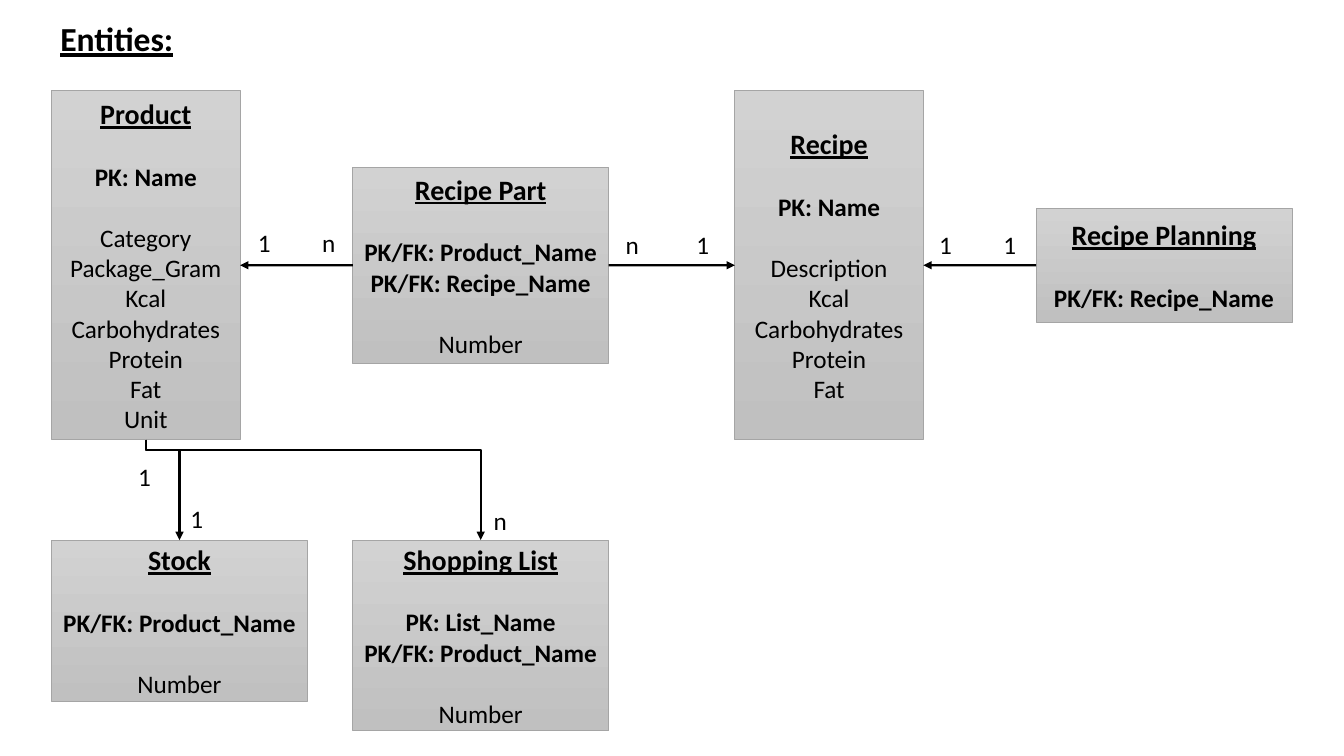
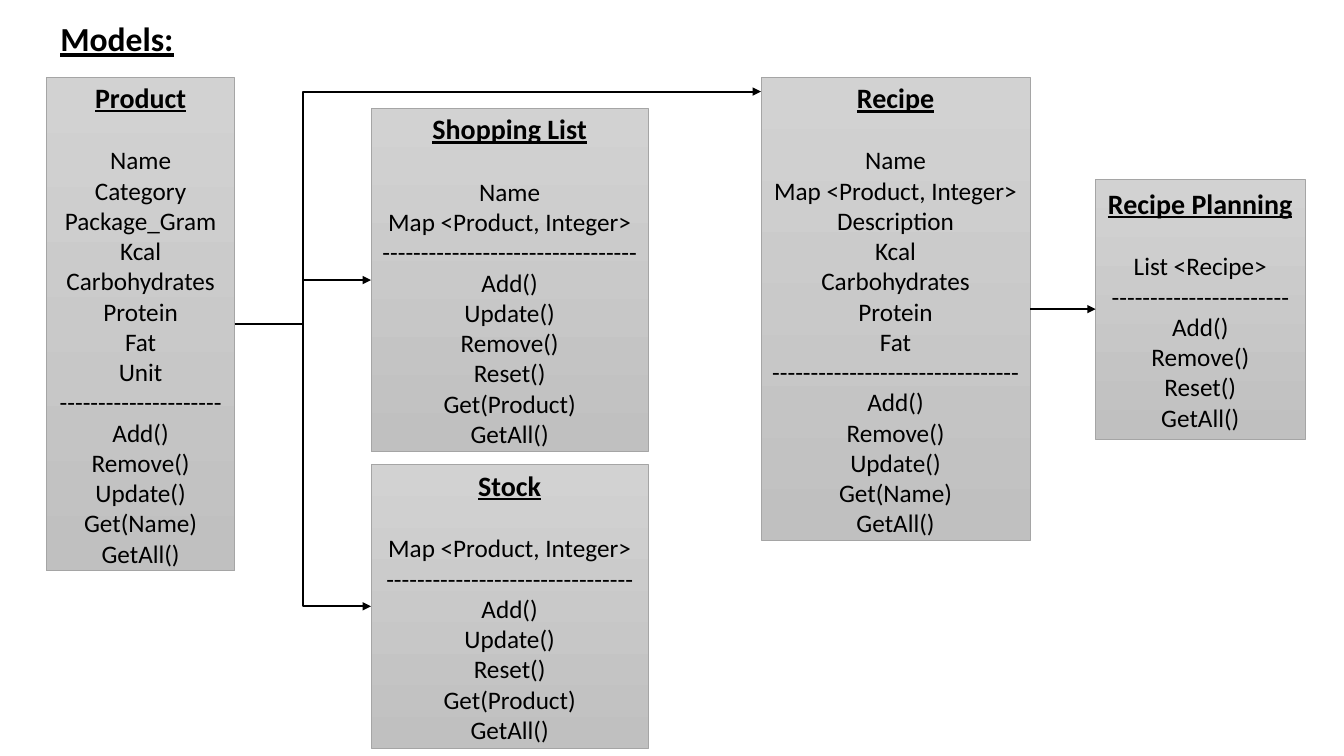
from pptx import Presentation
from pptx.dml.color import RGBColor
from pptx.enum.shapes import MSO_CONNECTOR, MSO_SHAPE
from pptx.enum.text import MSO_ANCHOR, PP_ALIGN
from pptx.oxml.ns import qn
from pptx.util import Cm, Pt
from lxml import etree

RECT = MSO_SHAPE.RECTANGLE
STRAIGHT, ELBOW = MSO_CONNECTOR.STRAIGHT, MSO_CONNECTOR.ELBOW
MIDDLE, CENTER = MSO_ANCHOR.MIDDLE, PP_ALIGN.CENTER
TOP, LEFT, BOTTOM, RIGHT = range(4)


def rgb(value):
    return RGBColor.from_string(value)


class Diagram:
    font = "Calibri"
    ink = "000000"
    border = "A5A5A5"
    shades = ("D2D2D2", "C0C0C0")
    group_gap = Pt(22)

    def __init__(self):
        self.deck = Presentation()
        self.deck.slide_width, self.deck.slide_height = Cm(33.87), Cm(19.05)
        self.slide = None

    def page(self, title):
        self.slide = self.deck.slides.add_slide(self.deck.slide_layouts[6])
        self.text(1.27, 0.33, 14.22, 1.27, title, 24, True)

    def set_words(self, paragraph, words, size=18, bold=False, underline=False):
        paragraph.text = words
        font = paragraph.font
        font.name, font.size = self.font, Pt(size)
        font.bold, font.underline = bold, underline
        font.color.rgb = rgb(self.ink)

    def text(self, x, y, width, height, words, size=18, heading=False):
        box = self.slide.shapes.add_textbox(Cm(x), Cm(y), Cm(width), Cm(height))
        box.text_frame.word_wrap = True
        self.set_words(box.text_frame.paragraphs[0], words, size, heading, heading)

    def label(self, x, y, words):
        self.text(x, y, 0.86, 1.02, words)

    def entity(self, x, y, width, height, name, fields, keys=()):
        box = self.slide.shapes.add_shape(RECT, Cm(x), Cm(y), Cm(width), Cm(height))
        box.shadow.inherit = False
        box.fill.gradient()
        box.fill.gradient_angle = 270
        for stop, shade in zip(box.fill.gradient_stops, self.shades):
            stop.color.rgb = rgb(shade)
        box.line.color.rgb = rgb(self.border)
        box.line.width = Pt(0.5)
        frame = box.text_frame
        frame.word_wrap = True
        frame.vertical_anchor = MIDDLE
        self.set_words(frame.paragraphs[0], name, 20, True, True)
        for group, bold in ((keys, True), (fields, False)):
            for position, words in enumerate(group):
                paragraph = frame.add_paragraph()
                self.set_words(paragraph, words, bold=bold)
                if position == 0:
                    paragraph.space_before = self.group_gap
        for paragraph in frame.paragraphs:
            paragraph.alignment = CENTER
        return box

    def arrow(self, source, exit_side, target, entry_side, knee=None, entry_y=None):
        kind = STRAIGHT if knee is None else ELBOW
        end_y = 0 if entry_y is None else Cm(entry_y)
        link = self.slide.shapes.add_connector(kind, 0, 0, target.left, end_y)
        link.begin_connect(source, exit_side)
        if entry_y is None:
            link.end_connect(target, entry_side)
        link.line.color.rgb = rgb(self.ink)
        link.line.width = Pt(1.5)
        properties = link._element.spPr
        etree.SubElement(properties.find(qn("a:ln")), qn("a:tailEnd"), type="triangle")
        etree.SubElement(properties, qn("a:effectLst"))
        if knee is None:
            return
        if exit_side == BOTTOM:
            self.turn_down(link)
        bend = round(Cm(knee) / link.width * 100000)
        adjustments = properties.find(qn("a:prstGeom")).find(qn("a:avLst"))
        etree.SubElement(adjustments, qn("a:gd"), name="adj1", fmla=f"val {bend}")

    def turn_down(self, link):
        across, down = link.width, link.height
        link.left += (across - down) // 2
        link.top += (down - across) // 2
        link.width, link.height = down, across
        transform = link._element.spPr.find(qn("a:xfrm"))
        transform.set("rot", "16200000")
        transform.set("flipH", "1")


NUTRITION = ["Kcal", "Carbohydrates", "Protein", "Fat"]
PRODUCT_FIELDS = ["Category", "Package_Gram", *NUTRITION, "Unit"]
RECIPE_FIELDS = ["Description", *NUTRITION]
PRODUCT_KEY, RECIPE_KEY = "PK/FK: Product_Name", "PK/FK: Recipe_Name"
QUANTITIES = "Map <Product, Integer>"
NAMED_METHODS = ["Add()", "Remove()", "Update()", "Get(Name)", "GetAll()"]

diagram = Diagram()

diagram.page("Entities:")
product = diagram.entity(1.3, 2.29, 4.75, 8.79, "Product", PRODUCT_FIELDS, ["PK: Name"])
recipe = diagram.entity(18.52, 2.29, 4.75, 8.79, "Recipe", RECIPE_FIELDS, ["PK: Name"])
part = diagram.entity(8.89, 4.22, 6.45, 4.93, "Recipe Part", ["Number"],
                      [PRODUCT_KEY, RECIPE_KEY])
planning = diagram.entity(26.11, 5.25, 6.45, 2.87, "Recipe Planning", [], [RECIPE_KEY])
shopping = diagram.entity(8.89, 13.61, 6.45, 4.8, "Shopping List", ["Number"],
                          ["PK: List_Name", PRODUCT_KEY])
stock = diagram.entity(1.3, 13.61, 6.45, 4.06, "Stock", ["Number"], [PRODUCT_KEY])
diagram.arrow(part, LEFT, product, RIGHT)
diagram.arrow(part, RIGHT, recipe, LEFT)
diagram.arrow(planning, LEFT, recipe, RIGHT)
for listing in (stock, shopping):
    diagram.arrow(product, BOTTOM, listing, TOP, knee=0.25)
for x, y, count in (
    (6.25, 5.61, "1"), (7.87, 5.61, "n"),
    (15.52, 5.66, "n"), (17.3, 5.66, "1"),
    (23.42, 5.66, "1"), (25.04, 5.66, "1"),
    (4.55, 12.57, "1"), (3.23, 11.51, "1"), (12.19, 12.6, "n"),
):
    diagram.label(x, y, count)

diagram.page("Models:")
product = diagram.entity(1.17, 1.96, 4.75, 12.42, "Product",
                         ["Name", *PRODUCT_FIELDS, "-" * 21, *NAMED_METHODS])
recipe = diagram.entity(19.18, 1.96, 6.78, 11.66, "Recipe",
                        ["Name", QUANTITIES, *RECIPE_FIELDS, "-" * 32, *NAMED_METHODS])
planning = diagram.entity(27.61, 4.51, 5.28, 6.56, "Recipe Planning",
                          ["List <Recipe>", "-" * 23, "Add()", "Remove()", "Reset()",
                           "GetAll()"])
shopping = diagram.entity(9.35, 2.74, 6.99, 8.64, "Shopping List",
                          ["Name", QUANTITIES, "-" * 33, "Add()", "Update()", "Remove()",
                           "Reset()", "Get(Product)", "GetAll()"])
stock = diagram.entity(9.35, 11.71, 6.99, 7.14, "Stock",
                       [QUANTITIES, "-" * 32, "Add()", "Update()", "Reset()",
                        "Get(Product)", "GetAll()"])
for listing in (shopping, stock):
    diagram.arrow(product, RIGHT, listing, LEFT, knee=1.71)
diagram.arrow(product, RIGHT, recipe, LEFT, knee=1.71, entry_y=2.31)
diagram.arrow(recipe, RIGHT, planning, LEFT)

diagram.deck.save("out.pptx")
